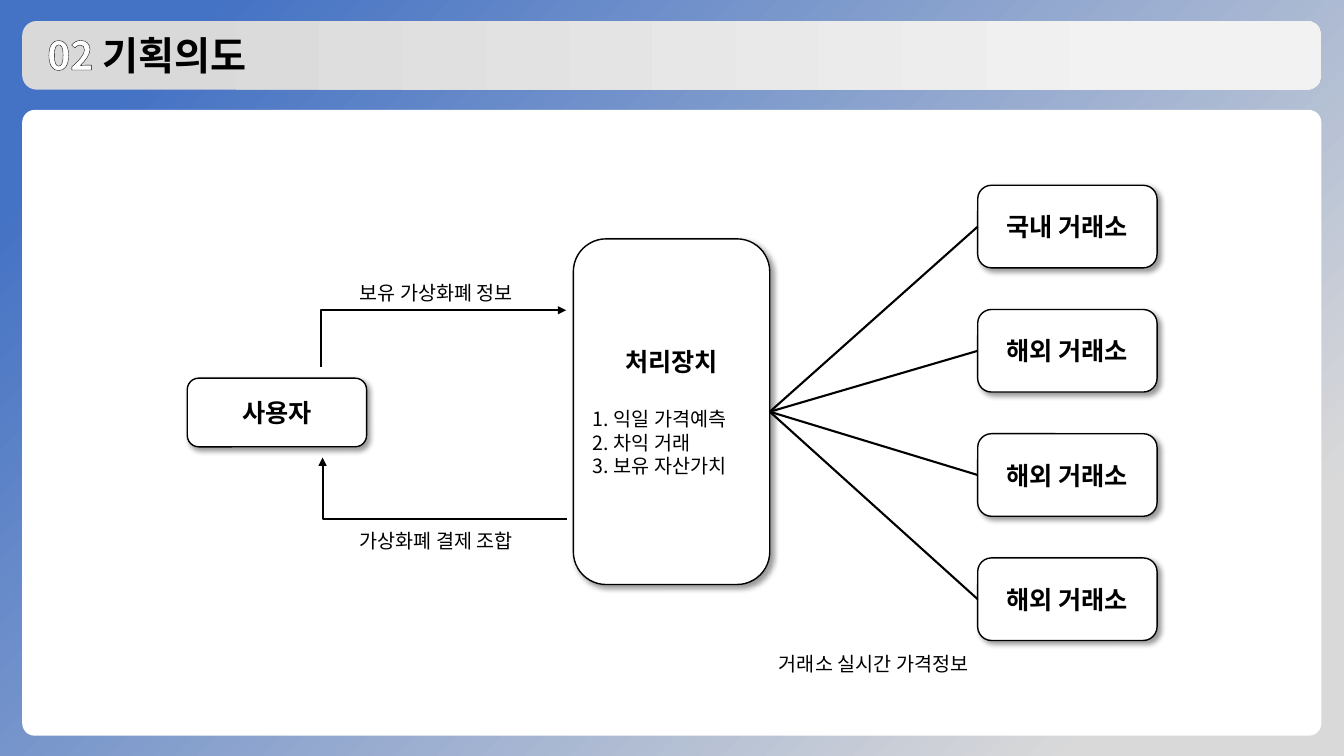
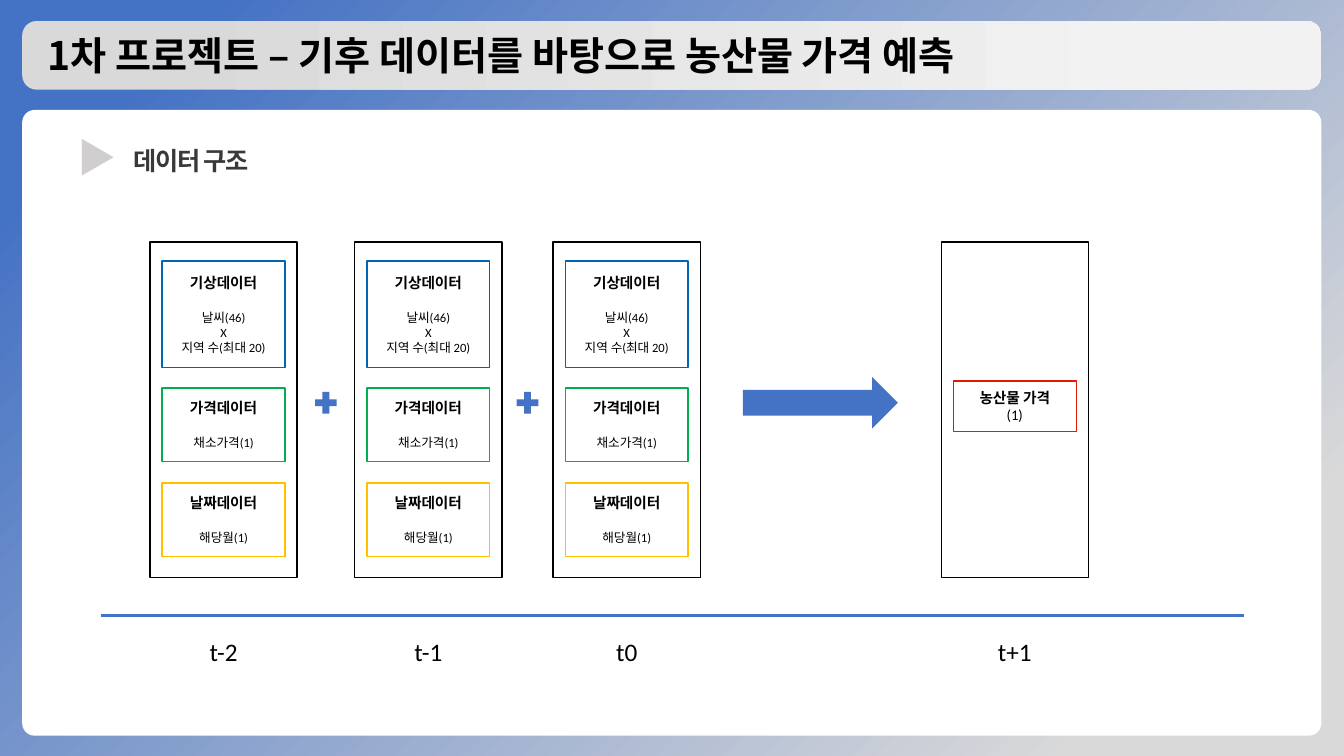
import pptx
import pptx.util
import pptx.dml.color
import pptx.enum.dml
import pptx.enum.shapes
import pptx.enum.text
import pptx.oxml.ns
from dataclasses import dataclass
from lxml import etree

Cm = pptx.util.Cm
Pt = pptx.util.Pt
SHAPE = pptx.enum.shapes.MSO_SHAPE
CONNECTOR = pptx.enum.shapes.MSO_CONNECTOR
ALIGN = pptx.enum.text.PP_ALIGN
ANCHOR = pptx.enum.text.MSO_ANCHOR
qn = pptx.oxml.ns.qn


@dataclass(frozen=True)
class Theme:
    korean: str = "Noto Sans CJK KR"
    latin: str = "Calibri"
    black: str = "000000"
    white: str = "FFFFFF"
    dark: str = "3B3838"
    blue: str = "4472C4"
    silver: str = "D9D9D9"
    pale: str = "F2F2F2"
    marker: str = "D0CECE"
    marker_edge: str = "939597"
    weather: str = "0165B2"
    price: str = "00B050"
    date: str = "FFC000"
    target: str = "E41A00"
    title: float = 28
    heading: float = 18
    body: float = 14
    box_title: float = 10.5
    box_body: float = 9


@dataclass(frozen=True)
class Line:
    text: str
    size: float
    bold: bool = False
    gap: float = 0
    align: ALIGN = ALIGN.CENTER
    color: str = Theme.black


def rgb(value):
    return pptx.dml.color.RGBColor.from_string(value)


def add_xml(parent, tag, **attributes):
    return etree.SubElement(parent, qn(tag), attributes)


class Deck:
    def __init__(self, theme):
        self.theme = theme
        self.prs = pptx.Presentation()
        self.prs.slide_width, self.prs.slide_height = Cm(33.87), Cm(19.05)
        self.s = None

    def new_slide(self, title, number=None):
        t = self.theme
        self.s = self.prs.slides.add_slide(self.prs.slide_layouts[6])
        self.gradient(self.s.background.fill, t.blue, t.silver, 315)
        band = self.shape(SHAPE.ROUNDED_RECTANGLE, 0.56, 0.53, 32.74, 1.73)
        band.adjustments[0] = 0.21
        self.gradient(band.fill, t.silver, t.pale, 0)
        panel = self.shape(SHAPE.ROUNDED_RECTANGLE, 0.56, 2.77, 32.74, 15.77, fill=t.white)
        panel.adjustments[0] = 0.02
        tf = self.text(0.94, 0.58, 29.21, 1.73, Line(title, t.title, True, align=ALIGN.LEFT))
        tf.vertical_anchor = ANCHOR.MIDDLE
        p = tf.paragraphs[0]
        p.line_spacing = 0.9
        if number:
            p.runs[0].text = number + " "
            self.hatch(p.runs[0], t.dark, t.white, t.black, 1.25)
            p.add_run().text = title

    def gradient(self, fill, start, end, angle):
        fill.gradient()
        fill.gradient_angle = angle
        for stop, color, position in zip(fill.gradient_stops, (start, end), (0.1, 0.87)):
            stop.color.rgb = rgb(color)
            stop.position = position

    def hatch(self, r, fore, back, edge, width):
        fill = r.font.fill
        fill.patterned()
        fill.pattern = pptx.enum.dml.MSO_PATTERN.DARK_UPWARD_DIAGONAL
        fill.fore_color.rgb = rgb(fore)
        fill.back_color.rgb = rgb(back)
        rPr = r._r.get_or_add_rPr()
        ln = add_xml(rPr, "a:ln", w=str(Pt(width)))
        add_xml(add_xml(ln, "a:solidFill"), "a:srgbClr", val=edge)
        rPr.insert(0, ln)

    def put_lines(self, tf, lines, latin):
        tf.word_wrap = True
        for i, line in enumerate(lines):
            p = tf.add_paragraph() if i else tf.paragraphs[0]
            p.alignment = line.align
            if line.gap:
                p.space_before = Pt(line.gap)
            p.add_run().text = line.text
            p.font.name = latin
            p.font.size = Pt(line.size)
            p.font.bold = line.bold
            p.font.color.rgb = rgb(line.color)
            add_xml(p._p.get_or_add_pPr().get_or_add_defRPr(), "a:ea", typeface=self.theme.korean)

    def text(self, x, y, w, h, *lines, latin=Theme.korean):
        tf = self.s.shapes.add_textbox(Cm(x), Cm(y), Cm(w), Cm(h)).text_frame
        self.put_lines(tf, lines, latin)
        return tf

    def shape(self, kind, x, y, w, h, fill=None, line=None):
        sp = self.s.shapes.add_shape(kind, Cm(x), Cm(y), Cm(w), Cm(h))
        sp.shadow.inherit = False
        if fill:
            sp.fill.solid()
            sp.fill.fore_color.rgb = rgb(fill)
        else:
            sp.fill.background()
        if line:
            sp.line.color.rgb = rgb(line)
            sp.line.width = Pt(1)
        else:
            sp.line.fill.background()
        return sp

    def card(self, x, y, w, h, *lines):
        t = self.theme
        sp = self.shape(SHAPE.ROUNDED_RECTANGLE, x, y, w, h, t.white, t.black)
        effects = sp._element.spPr.find(qn("a:effectLst"))
        shadow = add_xml(effects, "a:outerShdw", blurRad=str(Pt(4)), dist=str(Pt(3)),
                         dir="2700000", algn="tl", rotWithShape="0")
        add_xml(add_xml(shadow, "a:srgbClr", val=t.black), "a:alpha", val="40000")
        self.put_lines(sp.text_frame, lines, t.korean)
        return sp

    def box(self, x, y, w, h, color, *lines):
        sp = self.shape(SHAPE.RECTANGLE, x, y, w, h, line=color)
        self.put_lines(sp.text_frame, lines, self.theme.latin)

    def connector(self, begin, end, color=Theme.black, width=1.5, kind=CONNECTOR.STRAIGHT):
        c = self.s.shapes.add_connector(kind, *map(Cm, begin + end))
        c.line.color.rgb = rgb(color)
        c.line.width = Pt(width)
        add_xml(c._element.spPr, "a:effectLst")
        return c

    def join(self, first, first_side, second, second_side):
        c = self.connector((0, 0), (0, 0))
        c.begin_connect(first, first_side)
        c.end_connect(second, second_side)

    def elbow(self, begin, end, clockwise, arrow):
        cx, cy = (begin[0] + end[0]) / 2, (begin[1] + end[1]) / 2
        turn = 1 if clockwise else -1
        dx, dy = turn * (begin[1] - cy), -turn * (begin[0] - cx)
        c = self.connector((cx + dx, cy + dy), (cx - dx, cy - dy), kind=CONNECTOR.ELBOW)
        spPr = c._element.spPr
        spPr.find(qn("a:xfrm")).set("rot", str((90 if clockwise else 270) * 60000))
        spPr.find(qn("a:prstGeom")).set("prst", "bentConnector2")
        add_xml(spPr.find(qn("a:ln")), arrow, type="triangle")


def plan_slide(deck):
    t = deck.theme
    deck.new_slide("기획의도", "02")
    deck.card(4.72, 9.53, 4.52, 1.73, Line("사용자", t.heading, True))
    tasks = ("1. 익일 가격예측", "2. 차익 거래", "3. 보유 자산가치")
    processor = deck.card(
        14.45, 6.02, 4.95, 8.71, Line("처리장치", t.heading, True),
        *(Line(task, t.body, gap=0 if i else 22, align=ALIGN.LEFT) for i, task in enumerate(tasks)))
    for i, region in enumerate(("국내", "해외", "해외", "해외")):
        exchange = deck.card(24.64, 4.67 + 3.13 * i, 4.52, 2.08,
                             Line(region + " 거래소", t.heading, True))
        deck.join(exchange, 1, processor, 3)
    deck.elbow((8.1, 9.25), (14.27, 7.82), True, "a:tailEnd")
    deck.elbow((8.13, 11.53), (14.3, 13.08), False, "a:headEnd")
    for x, y, label in ((7.7, 6.96, "보유 가상화폐 정보"),
                        (7.7, 13.21, "가상화폐 결제 조합"),
                        (18.72, 16.31, "거래소 실시간 가격정보")):
        deck.text(x, y, 6.6, 0.86, Line(label, t.body))


def data_slide(deck):
    t = deck.theme
    deck.new_slide("1차 프로젝트 – 기후 데이터를 바탕으로 농산물 가격 예측")
    heading = deck.text(3.12, 3.53, 20.6, 1.02,
                        Line("데이터 구조", t.heading, True, align=ALIGN.LEFT, color=t.dark))
    heading.paragraphs[0].runs[0]._r.get_or_add_rPr().set("spc", "-100")
    marker = deck.text(1.7, 3.23, 1.4, 1.45, Line("▶", t.title, True, align=ALIGN.LEFT))
    deck.hatch(marker.paragraphs[0].runs[0], t.marker_edge, t.marker, t.marker_edge, 1)

    column_w, box_w = 3.71, 3.1
    inset = (column_w - box_w) / 2
    columns = ((3.78, "t-2"), (8.94, "t-1"), (13.94, "t0"), (23.72, "t+1"))
    inputs = (
        (6.58, 2.69, t.weather, "기상데이터", ("날씨(46)", "X", "지역 수(최대 20)")),
        (9.78, 1.85, t.price, "가격데이터", ("채소가격(1)",)),
        (12.17, 1.85, t.date, "날짜데이터", ("해당월(1)",)),
    )
    for x, label in columns:
        deck.box(x, 6.1, column_w, 8.46, t.black)
        deck.text(x, 15.9, column_w, 1.02, Line(label, t.heading), latin=t.latin)
    for x, label in columns[:3]:
        for y, h, color, name, details in inputs:
            deck.box(x + inset, y, box_w, h, color, Line(name, t.box_title, True),
                     *(Line(d, t.box_body, gap=0 if i else 13) for i, d in enumerate(details)))
    deck.box(columns[3][0] + inset, 9.6, box_w, 1.27, t.target,
             Line("농산물 가격", t.box_title, True), Line("(1)", t.box_title))

    plus = 0.74
    for (left, _), (right, _) in zip(columns[:2], columns[1:3]):
        deck.shape(SHAPE.MATH_PLUS, (left + column_w + right - plus) / 2, 9.78, plus, plus, t.blue)
    deck.shape(SHAPE.RIGHT_ARROW, 18.72, 9.5, 3.91, 1.3, t.blue)
    deck.connector((2.54, 15.52), (31.34, 15.52), t.blue, 2.25)


def main():
    deck = Deck(Theme())
    plan_slide(deck)
    data_slide(deck)
    deck.prs.save("out.pptx")


if __name__ == "__main__":
    main()
